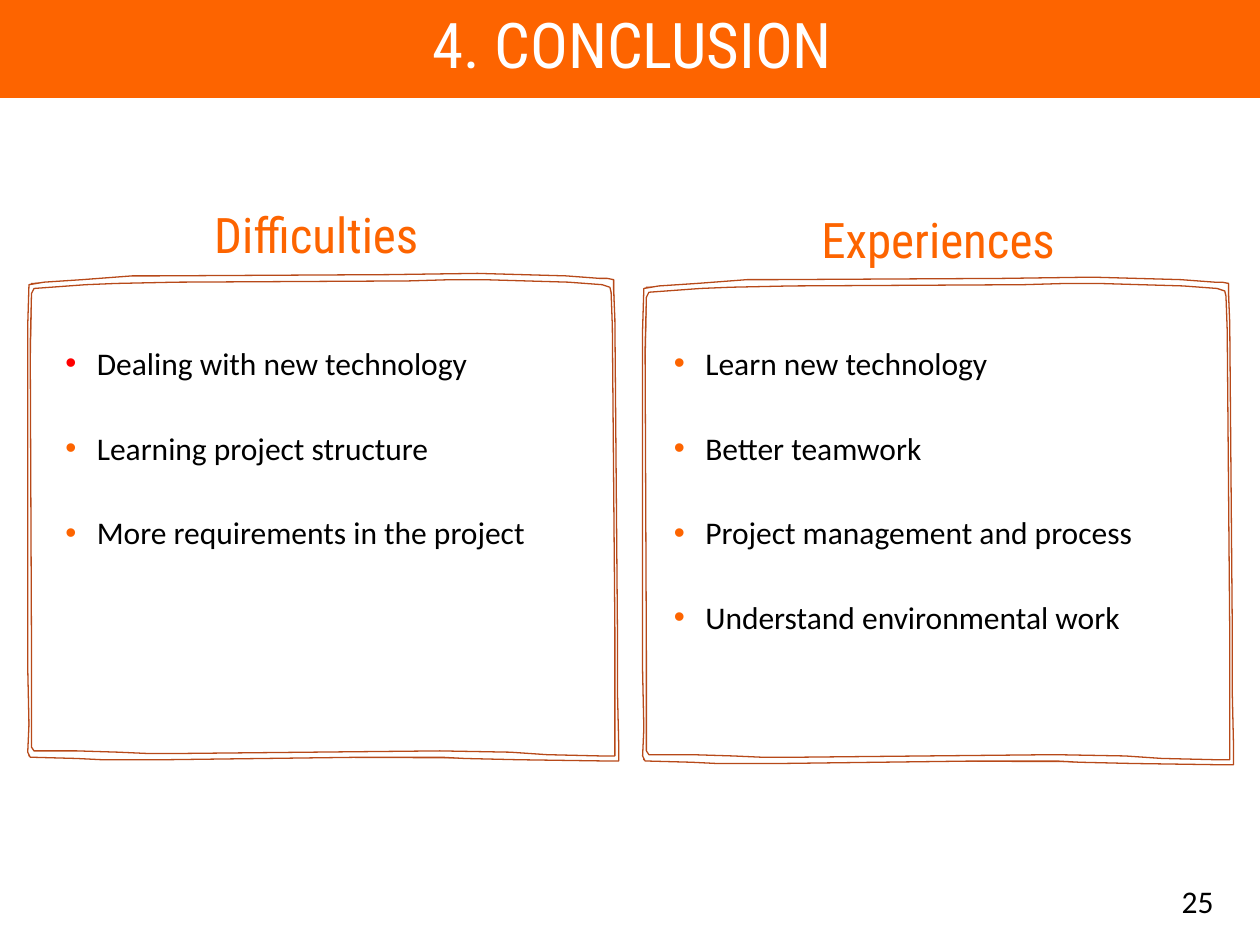
from dataclasses import dataclass

import pptx
import pptx.util
from lxml import etree
from pptx.dml.color import RGBColor
from pptx.enum.shapes import MSO_SHAPE
from pptx.enum.text import MSO_ANCHOR, PP_ALIGN
from pptx.oxml.ns import qn
from pptx.util import Inches, Pt

ORANGE, RED, BROWN = "FD6400", "FF0000", "B74919"
WHITE, BLACK = "FFFFFF", "000000"
HEAD_FONT, BODY_FONT = "Roboto Condensed", "Calibri"

Point = tuple[float, float]
Box = tuple[float, float, float, float]

# Hand-drawn frame of the left panel, in inches
BACKING: list[Point] = [
    (4.89, 6.02), (0.23, 6), (0.23, 3.56), (0.25, 2.25), (2.55, 2.21), (4.87, 2.22)]
OUTER_EDGE: list[Point] = [
    (4.87, 2.22), (4.87, 2.3), (4.88, 2.53), (4.9, 4.96), (4.9, 5.47), (4.91, 5.9),
    (4.91, 6.04), (4.82, 6.04), (4.11, 6.03), (3.69, 6.02), (3.5, 6.01), (2.9, 6.01),
    (1.31, 6.03), (0.81, 6.03), (0.61, 6.02), (0.24, 6.01), (0.22, 5.97), (0.23, 5.75),
    (0.22, 5.3), (0.22, 2.58), (0.23, 2.26), (0.35, 2.24), (0.65, 2.22), (1.05, 2.19),
    (1.26, 2.19), (3.08, 2.18), (3.79, 2.17), (4.49, 2.19), (4.76, 2.21), (4.82, 2.21)]
INNER_EDGE: list[Point] = [
    (4.88, 6), (4.88, 4.99), (4.86, 2.59), (4.85, 2.32), (4.84, 2.28), (4.78, 2.26),
    (4.51, 2.24), (3.84, 2.22), (3.58, 2.22), (3.24, 2.23), (1.4, 2.24), (0.92, 2.25),
    (0.68, 2.26), (0.27, 2.29), (0.25, 2.33), (0.24, 2.74), (0.25, 5.16), (0.25, 5.93),
    (0.27, 5.96), (0.61, 5.96), (0.94, 5.97), (1.16, 5.98), (1.47, 5.98), (3.49, 5.96),
    (4.05, 5.97), (4.34, 5.99), (4.77, 6)]


@dataclass
class Panel:
    heading: str
    heading_box: Box
    list_box: Box
    shift: Point
    items: list[tuple[str, str]]  # text, bullet colour


PANELS = [
    Panel("Difficulties", (0.19, 1.63, 4.64, 0.51), (0.42, 2.53, 4.28, 3.87), (0, 0), [
        ("Dealing with new technology", RED),
        ("Learning project structure", ORANGE),
        ("More requirements in the project", ORANGE)]),
    Panel("Experiences", (5.15, 1.67, 4.59, 0.51), (5.25, 2.53, 4.33, 2.69), (4.88, 0.03), [
        ("Learn new technology", ORANGE),
        ("Better teamwork", ORANGE),
        ("Project management and process", ORANGE),
        ("Understand environmental work", ORANGE)]),
]


def rgb(value: str) -> RGBColor:
    return RGBColor.from_string(value)


def paint(sp, fill: str, line: str, width: float) -> None:
    sp.shadow.inherit = False
    sp.fill.solid()
    sp.fill.fore_color.rgb = rgb(fill)
    sp.line.color.rgb = rgb(line)
    sp.line.width = Pt(width)


def add_outline(s, contours: list[list[Point]], shift: Point) -> None:
    dx, dy = shift
    # The builder keeps whole units only, so points are given as lengths
    moved = [[(Inches(x + dx), Inches(y + dy)) for x, y in contour] for contour in contours]
    fb = s.shapes.build_freeform(*moved[0][0])
    fb.add_line_segments(moved[0][1:], close=True)
    for contour in moved[1:]:
        fb.move_to(*contour[0])
        fb.add_line_segments(contour[1:], close=True)
    paint(fb.convert_to_shape(), WHITE, BROWN, 0.75)


def add_text(s, box: Box, lines: list[str], size: float, font: str, color: str,
             align=PP_ALIGN.LEFT, anchor=MSO_ANCHOR.TOP):
    tf = s.shapes.add_textbox(*map(Inches, box)).text_frame
    tf.text = "\n".join(lines)
    tf.word_wrap = True
    tf.vertical_anchor = anchor
    for p in tf.paragraphs:
        p.alignment = align
        for r in p.runs:
            r.font.size = Pt(size)
            r.font.name = font
            r.font.color.rgb = rgb(color)
    return tf


def add_heading(s, box: Box, text: str, size: float, color: str, anchor=MSO_ANCHOR.TOP) -> None:
    tf = add_text(s, box, [text], size, HEAD_FONT, color, PP_ALIGN.CENTER, anchor)
    tf.paragraphs[0].line_spacing = 0.9
    tf.paragraphs[0].space_before = Pt(10)


def add_bullet(p, color: str) -> None:
    pPr = p._p.get_or_add_pPr()
    pPr.set("marL", str(Inches(0.25)))
    pPr.set("indent", str(Inches(-0.25)))
    clr = etree.SubElement(pPr, qn("a:buClr"))
    etree.SubElement(clr, qn("a:srgbClr"), val=color)
    etree.SubElement(pPr, qn("a:buFont"), typeface="Arial")
    etree.SubElement(pPr, qn("a:buChar"), char="•")


def add_panel(s, panel: Panel) -> None:
    add_outline(s, [BACKING], panel.shift)
    add_outline(s, [OUTER_EDGE, INNER_EDGE], panel.shift)
    add_heading(s, panel.heading_box, panel.heading, 28, ORANGE)
    tf = add_text(s, panel.list_box, [text for text, _ in panel.items], 18, BODY_FONT, BLACK)
    for p, (_, color) in zip(tf.paragraphs, panel.items):
        p.line_spacing = 1.5
        p.space_before = Pt(10)
        p.space_after = Pt(6)
        add_bullet(p, color)


def main() -> None:
    prs = pptx.Presentation()
    prs.slide_width, prs.slide_height = Inches(10), Inches(7.5)
    s = prs.slides.add_slide(prs.slide_layouts[6])

    # Title band
    band = s.shapes.add_shape(MSO_SHAPE.RECTANGLE, *map(Inches, (0, -0.01, 10, 0.78)))
    paint(band, ORANGE, ORANGE, 1)
    add_heading(s, (0.3, 0, 9.44, 0.77), "4. CONCLUSION", 36, WHITE, MSO_ANCHOR.MIDDLE)

    # Framed panels
    for panel in PANELS:
        add_panel(s, panel)

    # Page number
    add_text(s, (7.06, 6.95, 2.67, 0.4), ["25"], 18, BODY_FONT, BLACK,
             PP_ALIGN.RIGHT, MSO_ANCHOR.MIDDLE)

    prs.save("out.pptx")


if __name__ == "__main__":
    main()
